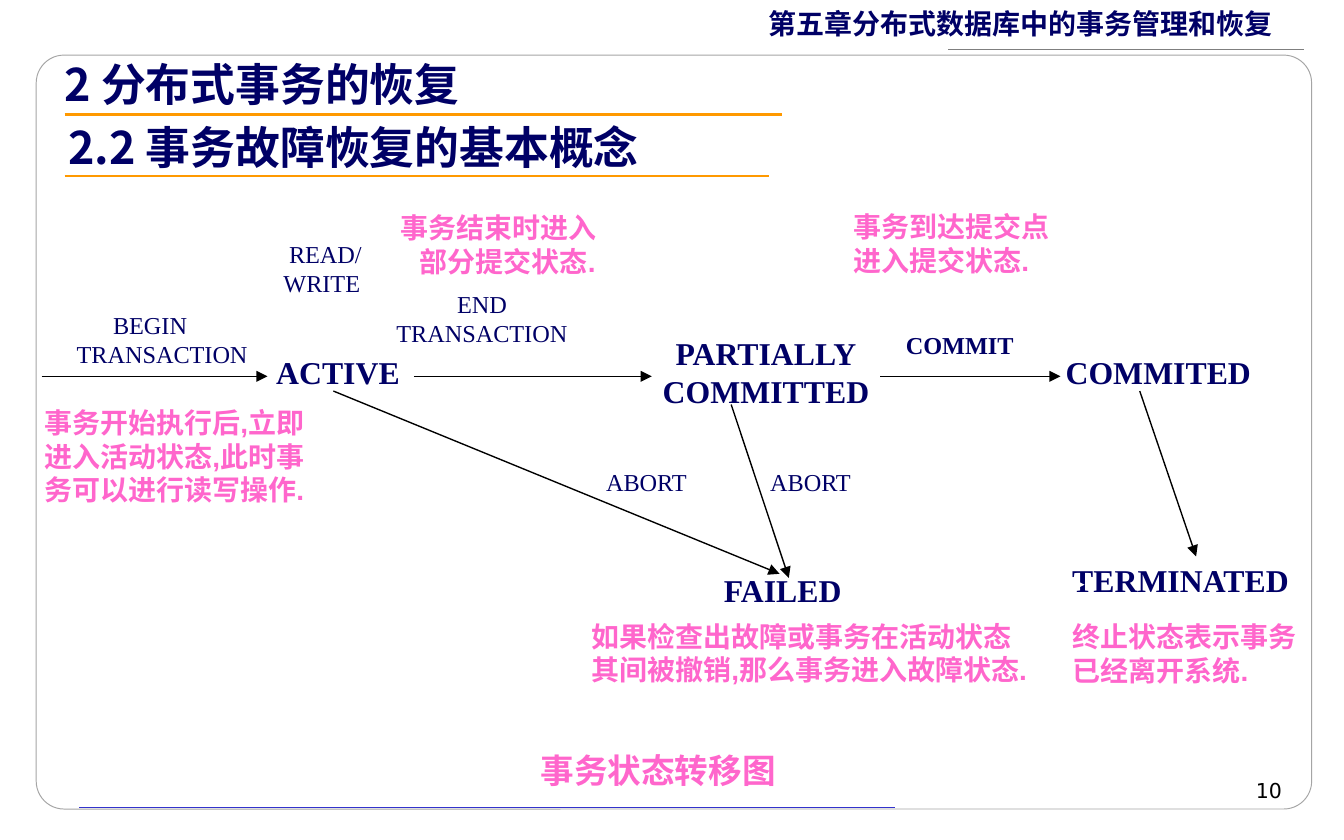
from lxml.etree import SubElement
from pptx import Presentation
from pptx.dml.color import RGBColor
from pptx.enum.shapes import MSO_CONNECTOR, MSO_SHAPE
from pptx.enum.text import MSO_ANCHOR, PP_ALIGN
from pptx.oxml.ns import qn
from pptx.util import Pt

COLORS = {
    "navy": "000066", "pink": "FF66CC", "orange": "FF9900", "black": "000000",
    "white": "FFFFFF", "blue": "3333CC", "gray": "7F7F7F", "border": "A5A5A5",
}
CHINESE_FONT = "Noto Sans CJK SC"
SERIF = "Times New Roman"
FLOW_Y = 201.6

STATES = [
    ("ACTIVE", 144.7, 179.3, 72.7, 40.3),
    ("PARTIALLY\nCOMMITTED", 337.7, 171.4, 145.4, 55.4),
    ("COMMITED", 563, 181.4, 115.2, 35.3),
    ("FAILED", 383, 298.1, 72.7, 35.3),
    ("TERMINATED", 563, 293, 139, 35.3),
]
ARROWS = [
    (22.3, FLOW_Y, 143.3, FLOW_Y, "black"),
    (221.8, FLOW_Y, 349.2, FLOW_Y, "black"),
    (178.6, 209.5, 417.6, 307.4, "black"),
    (478.1, 313.2, 581, 313.2, "white"),
    (471.6, FLOW_Y, 568.1, FLOW_Y, "black"),
    (610.6, 209.5, 640.8, 298.1, "black"),
    (391.7, 216.7, 422.6, 309.6, "black"),
]
EVENTS = [
    ("BEGIN TRANSACTION", 34.6, 162.7, 126.7, 38.2, 19.5, False),
    ("READ/ WRITE", 145.4, 124.6, 60.5, 38.2, 3, False),
    ("END TRANSACTION", 205.9, 151.2, 127.4, 38.2, 32.5, False),
    ("COMMIT", 478.8, 173.5, 78.5, 22.3, 0, True),
    ("ABORT", 406.1, 247, 78.5, 22.3, 0, False),
    ("ABORT", 318.2, 247, 78.5, 22.3, 0, False),
]
NOTES = [
    ("事务开始执行后,立即进入活动状态,此时事务可以进行读写操作.", 17.3, 213.8, 165.6, 60.5, 0),
    ("事务结束时进入 部分提交状态.", 208.1, 109.4, 124.6, 42.5, 10.4),
    ("事务到达提交点进入提交状态.", 450.7, 108.7, 130.3, 42.5, 0),
    ("如果检查出故障或事务在活动状态其间被撤销,那么事务进入故障状态.", 310.3, 328.3, 247.7, 60.5, 0),
    ("终止状态表示事务已经离开系统.", 568.1, 328.3, 139.7, 42.5, 0),
]
HEADINGS = [
    ("2.2 事务故障恢复的基本概念", 30.2, 60.5, 411.8, 94.3),
    ("2 分布式事务的恢复", 28.1, 26.6, 419, 61.2),
]


def color(name):
    """Return the named colour."""
    return RGBColor.from_string(COLORS[name])


def fill_text(frame, text, size, font, tint, bold=False, align=PP_ALIGN.LEFT):
    """Write text into a frame and format every run."""
    frame.margin_left = frame.margin_right = Pt(6.5)
    frame.margin_top = frame.margin_bottom = Pt(3.6)
    frame.text = text
    for para in frame.paragraphs:
        para.alignment = align
        for span in para.runs:
            span.font.size = Pt(size)
            span.font.name = font
            span.font.bold = bold
            span.font.color.rgb = color(tint)
            SubElement(span.font._element, qn("a:ea"), typeface=CHINESE_FONT)


def add_text(page, text, left, top, width, height, *style, **options):
    """Add a wrapping text box and return its first paragraph."""
    box = page.shapes.add_textbox(Pt(left), Pt(top), Pt(width), Pt(height))
    box.text_frame.word_wrap = True
    fill_text(box.text_frame, text, *style, **options)
    return box.text_frame.paragraphs[0]


def set_indent(para, margin, first_line):
    """Set the left margin and the first line indent of a paragraph."""
    properties = para._p.get_or_add_pPr()
    properties.set("marL", str(Pt(margin)))
    properties.set("indent", str(Pt(first_line)))


def add_line(page, start_x, start_y, end_x, end_y, tint, weight=0.75, arrow=False):
    """Add a straight line, with an arrowhead at its end if asked."""
    line = page.shapes.add_connector(
        MSO_CONNECTOR.STRAIGHT, Pt(start_x), Pt(start_y), Pt(end_x), Pt(end_y))
    line.line.color.rgb = color(tint)
    line.line.width = Pt(weight)
    if arrow:
        SubElement(line.line._get_or_add_ln(), qn("a:tailEnd"), type="triangle")
    SubElement(line._element.spPr, qn("a:effectLst"))


def add_panel(page):
    """Add the rounded frame around the content."""
    panel = page.shapes.add_shape(
        MSO_SHAPE.ROUNDED_RECTANGLE, Pt(19.4), Pt(29.5), Pt(683.3), Pt(403.9))
    panel.adjustments[0] = 0.037
    panel.shadow.inherit = False
    panel.fill.solid()
    panel.fill.fore_color.rgb = color("white")
    panel.line.color.rgb = color("border")
    panel.line.width = Pt(0.5)


def add_state(page, text, left, top, width, height):
    """Add an unfilled ellipse that names a transaction state."""
    state = page.shapes.add_shape(
        MSO_SHAPE.OVAL, Pt(left), Pt(top), Pt(width), Pt(height))
    state.shadow.inherit = False
    state.fill.background()
    state.line.color.rgb = color("white")
    state.line.width = Pt(0.75)
    state.text_frame.word_wrap = False
    state.text_frame.vertical_anchor = MSO_ANCHOR.MIDDLE
    fill_text(state.text_frame, text, 17, SERIF, "navy", True, PP_ALIGN.CENTER)


def add_frame(page):
    """Add the panel, chapter title, rules and page number."""
    add_panel(page)
    add_line(page, 42.5, 432.7, 479.5, 432.7, "blue", 0.25)
    chapter = add_text(page, "第五章分布式数据库中的事务管理和恢复",
                       405.4, 2.2, 314.6, 23, 15, CHINESE_FONT, "navy", bold=True)
    chapter.line_spacing = 0.9
    add_line(page, 698.4, 26.6, 507.6, 26.6, "gray")
    add_text(page, "10", 622, 413.3, 71.3, 20.2, 11, "DejaVu Sans", "black",
             align=PP_ALIGN.RIGHT)


def main():
    """Build the transaction state slide and save it."""
    deck = Presentation()
    deck.slide_width, deck.slide_height = Pt(720), Pt(450)
    page = deck.slides.add_slide(deck.slide_layouts[6])
    add_frame(page)
    for state in STATES:
        add_state(page, *state)
    for arrow in ARROWS:
        add_line(page, *arrow, arrow=True)
    for text, left, top, width, height, indent, bold in EVENTS:
        para = add_text(page, text, left, top, width, height, 13, SERIF, "navy", bold=bold)
        set_indent(para, 0, indent)
    add_text(page, "事务状态转移图", 275.8, 398.2, 153.4, 28.1, 18, "Arial", "pink",
             bold=True, align=PP_ALIGN.CENTER)
    for text, left, top, width, height, hanging in NOTES:
        para = add_text(page, text, left, top, width, height, 15, "Arial", "pink", bold=True)
        set_indent(para, hanging, -hanging)
    for text, left, top, rule_end, rule_y in HEADINGS:
        add_text(page, text, left, top, 420.5, 36, 24, CHINESE_FONT, "navy", bold=True)
        add_line(page, 34.6, rule_y, rule_end, rule_y, "orange", 1.5)
    deck.save("out.pptx")


if __name__ == "__main__":
    main()
